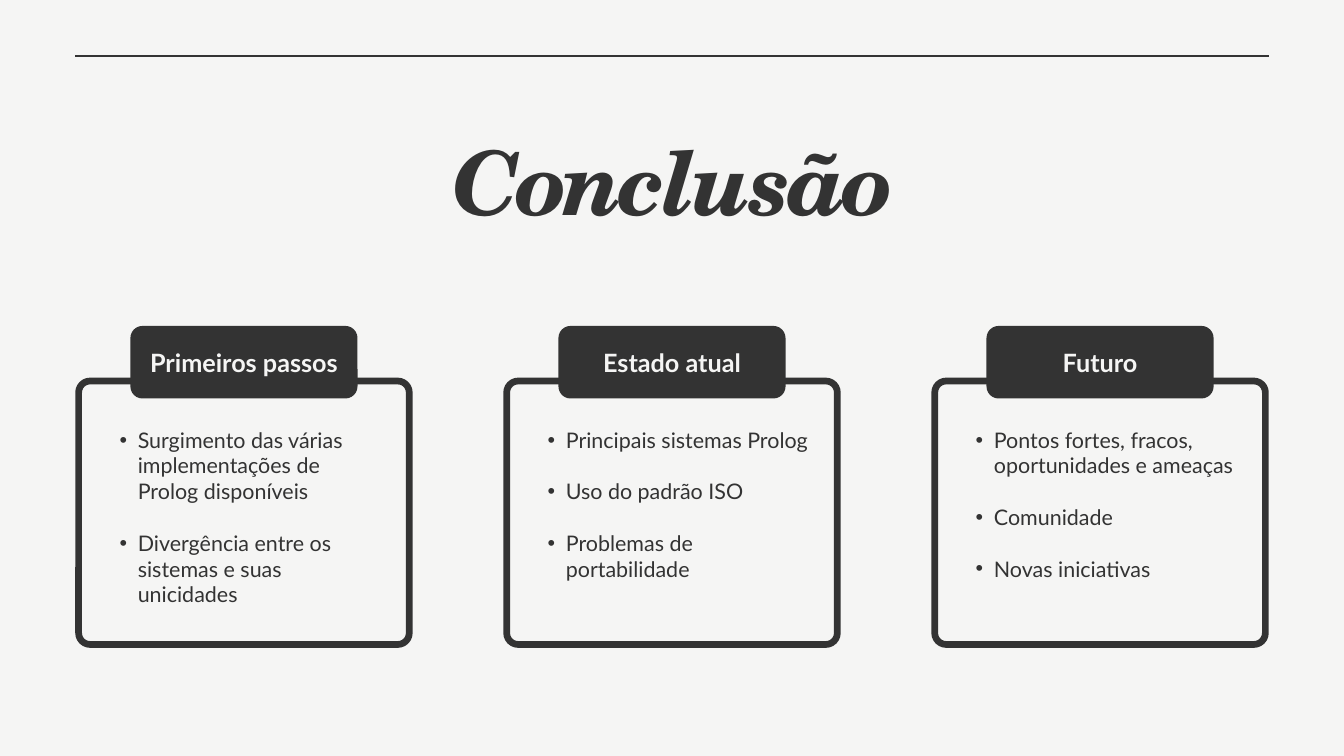
from lxml.etree import SubElement
from pptx import Presentation
from pptx.dml.color import RGBColor
from pptx.enum.shapes import MSO_CONNECTOR, MSO_SHAPE
from pptx.enum.text import MSO_ANCHOR, MSO_AUTO_SIZE, PP_ALIGN
from pptx.oxml.ns import qn
from pptx.util import Inches, Pt

COLORS = {"dark": "333333", "light": "F5F5F4"}
FONTS = {"title": "TeX Gyre Schola", "text": "Lato"}

CARDS = [
    ("Primeiros passos", [
        "Surgimento das várias implementações de Prolog disponíveis",
        "Divergência entre os sistemas e suas unicidades",
    ]),
    ("Estado atual", [
        "Principais sistemas Prolog",
        "Uso do padrão ISO",
        "Problemas de portabilidade",
    ]),
    ("Futuro", [
        "Pontos fortes, fracos, oportunidades e ameaças",
        "Comunidade",
        "Novas iniciativas",
    ]),
]
MARGIN = 1.12
CARD_WIDTH = 5.02
CARD_STEP = 6.37
BORDER = 0.1


class SlideBuilder:
    """Holds the style and the current slide."""

    def __init__(self, page):
        self.page = page
        fill = page.background.fill
        fill.solid()
        fill.fore_color.rgb = self.color("light")

    def color(self, name):
        return RGBColor.from_string(COLORS[name])

    def place(self, shape, left, top, width, height):
        shape.left, shape.top = Inches(left), Inches(top)
        shape.width, shape.height = Inches(width), Inches(height)

    def prepare(self, frame, anchor):
        frame.word_wrap = True
        frame.auto_size = MSO_AUTO_SIZE.NONE
        frame.vertical_anchor = anchor
        frame.margin_left = frame.margin_right = 0
        frame.margin_top = frame.margin_bottom = 0

    def style(self, para, size, color, font="text", bold=False, italic=False):
        para.line_spacing = Pt(size * 1.2)
        for span in para.runs:
            span.font.name = FONTS[font]
            span.font.size = Pt(size)
            span.font.bold = bold
            span.font.italic = italic
            span.font.color.rgb = self.color(color)

    def title(self, text, left, top, width, height):
        box = self.page.shapes.title
        self.place(box, left, top, width, height)
        self.prepare(box.text_frame, MSO_ANCHOR.TOP)
        box.text_frame.text = text
        para = box.text_frame.paragraphs[0]
        para.alignment = PP_ALIGN.CENTER
        self.style(para, 95, "dark", "title", bold=True, italic=True)
        para.runs[0].font._element.set("spc", "-470")

    def bullets(self, box, items, left, top, width, height):
        self.place(box, left, top, width, height)
        frame = box.text_frame
        self.prepare(frame, MSO_ANCHOR.TOP)
        frame.text = "\n".join(items)
        for index, para in enumerate(frame.paragraphs):
            properties = para._p.get_or_add_pPr()
            properties.set("marL", str(Inches(0.54)))
            properties.set("indent", str(Inches(-0.27)))
            SubElement(properties, qn("a:buFont"), typeface="Arial")
            SubElement(properties, qn("a:buChar"), char="•")
            para.alignment = PP_ALIGN.LEFT
            para.space_before = Pt(27.6 if index else 0)
            self.style(para, 23, "dark")

    def rounded(self, left, top, width, height, radius):
        shape = self.page.shapes.add_shape(
            MSO_SHAPE.ROUNDED_RECTANGLE, Inches(left), Inches(top),
            Inches(width), Inches(height))
        shape.adjustments[0] = radius / min(width, height)
        shape.shadow.inherit = False
        return shape

    def frame(self, left, top, width, height):
        half = BORDER / 2
        shape = self.rounded(left + half, top + half,
                             width - BORDER, height - BORDER, 0.17)
        shape.fill.background()
        shape.line.color.rgb = self.color("dark")
        shape.line.width = Inches(BORDER)

    def tab(self, text, left, top, width, height):
        shape = self.rounded(left, top, width, height, 0.18)
        shape.fill.solid()
        shape.fill.fore_color.rgb = self.color("dark")
        shape.line.fill.background()
        self.prepare(shape.text_frame, MSO_ANCHOR.MIDDLE)
        shape.text_frame.text = text
        para = shape.text_frame.paragraphs[0]
        para.alignment = PP_ALIGN.CENTER
        self.style(para, 27, "light", bold=True)

    def rule(self, left, right, top):
        line = self.page.shapes.add_connector(
            MSO_CONNECTOR.STRAIGHT, Inches(left), Inches(top),
            Inches(right), Inches(top))
        line.line.color.rgb = self.color("dark")
        line.line.width = Pt(2.25)
        SubElement(line._element.spPr, qn("a:effectLst"))


def main():
    deck = Presentation()
    deck.slide_width, deck.slide_height = Inches(20), Inches(11.25)
    # The comparison layout offers a title and enough text placeholders
    page = deck.slides.add_slide(deck.slide_layouts[4])
    builder = SlideBuilder(page)

    # Heading
    builder.rule(MARGIN, 20 - MARGIN, 0.83)
    builder.title("Conclusão", 1.82, 1.89, 16.37, 1.57)

    # Cards: frame, list and overlapping tab
    bodies = [box for box in page.placeholders if box != page.shapes.title]
    for index, (heading, items) in enumerate(CARDS):
        left = MARGIN + index * CARD_STEP
        builder.frame(left, 5.62, CARD_WIDTH, 4.02)
        builder.bullets(bodies[index], items, left + 0.39, 6.35, 4.24, 3.01)
        builder.tab(heading, left + 0.82, 4.85, 3.38, 1.08)

    # Unused placeholders
    for box in bodies[len(CARDS):]:
        box._element.getparent().remove(box._element)

    deck.save("out.pptx")


if __name__ == "__main__":
    main()
